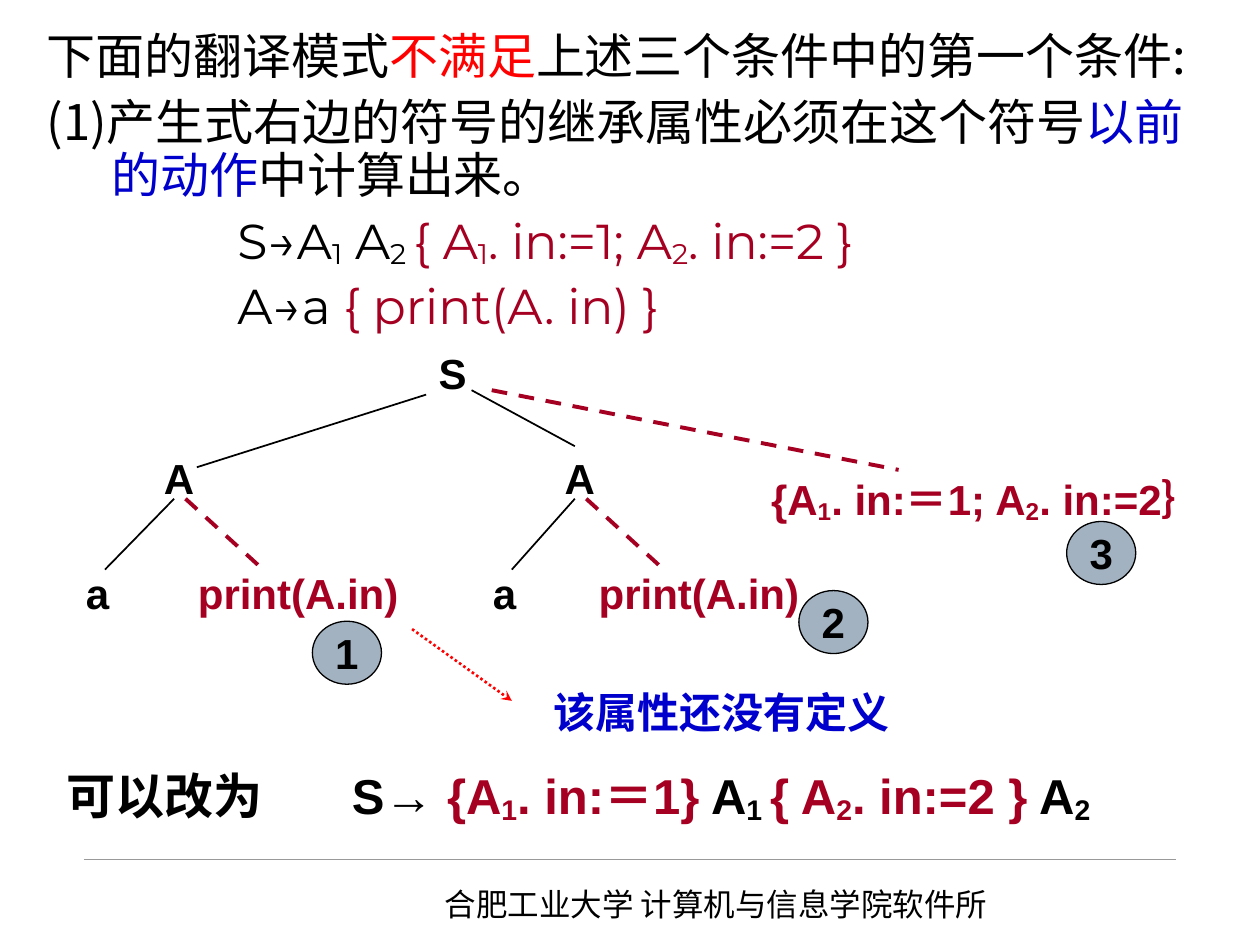
from lxml import etree
from pptx import Presentation
from pptx.dml.color import RGBColor
from pptx.enum.dml import MSO_LINE
from pptx.enum.shapes import MSO_CONNECTOR, MSO_SHAPE
from pptx.enum.text import MSO_ANCHOR, MSO_AUTO_SIZE, PP_ALIGN
from pptx.oxml.ns import qn
from pptx.util import Pt

DASH, DOT = MSO_LINE.DASH, MSO_LINE.ROUND_DOT
STRAIGHT, OVAL = MSO_CONNECTOR.STRAIGHT, MSO_SHAPE.OVAL
TOP, MIDDLE, CENTER = MSO_ANCHOR.TOP, MSO_ANCHOR.MIDDLE, PP_ALIGN.CENTER
NO_FIT = MSO_AUTO_SIZE.NONE


class Theme:
    black = RGBColor.from_string("000000")
    white = RGBColor.from_string("FFFFFF")
    red = RGBColor.from_string("FF0000")
    crimson = RGBColor.from_string("A50021")
    blue = RGBColor.from_string("0000CC")
    badge = RGBColor.from_string("A3B2C1")
    rule = RGBColor.from_string("999999")
    latin, grammar, chinese = "Arial", "Montserrat", "Noto Sans CJK SC"
    large, medium, small = Pt(28), Pt(24), Pt(18)


def write(para, spans, size=Theme.medium, font=Theme.latin, bold=True):
    """Add (text, colour) spans; a part between underscores is a subscript."""
    for text, color in spans:
        for index, part in enumerate(text.split("_")):
            if not part:
                continue
            span = para.add_run()
            span.text = part
            span.font.size, span.font.bold = size, bold
            span.font.color.rgb = color
            span.font.name = font
            properties = span._r.get_or_add_rPr()
            etree.SubElement(properties, qn("a:ea"), typeface=Theme.chinese)
            if index % 2:
                properties.set("baseline", "-11000")


def add_label(left, top, width, height, spans, tab=None, **style):
    box = page.shapes.add_textbox(Pt(left), Pt(top), Pt(width), Pt(height))
    box.text_frame.word_wrap = True
    para = box.text_frame.paragraphs[0]
    if tab:
        stops = etree.SubElement(para._p.get_or_add_pPr(), qn("a:tabLst"))
        etree.SubElement(stops, qn("a:tab"), pos=str(Pt(tab)), algn="l")
    write(para, spans, **style)


deck = Presentation()
deck.slide_width, deck.slide_height = Pt(720), Pt(540)
page = deck.slides.add_slide(deck.slide_layouts[1])
title = page.shapes.title
title.element.getparent().remove(title.element)

# Condition and translation scheme: indent, first-line offset, font, spans
body = page.placeholders[1]
body.left, body.top, body.width, body.height = Pt(19.5), Pt(15), Pt(686), Pt(181.5)
body.fill.solid()
body.fill.fore_color.rgb = Theme.white
frame = body.text_frame
frame.auto_size, frame.vertical_anchor = NO_FIT, TOP
statements = [
    (37, -37, Theme.chinese, [("下面的翻译模式", Theme.black), ("不满足", Theme.red),
                              ("上述三个条件中的第一个条件:", Theme.black)]),
    (37, -37, Theme.chinese, [("(1)产生式右边的符号的继承属性必须在这个符号", Theme.black),
                              ("以前的动作", Theme.blue), ("中计算出来。", Theme.black)]),
    (109, 0, Theme.grammar, [("S→A_1_ A_2 _", Theme.black),
                             ("{ A_1_. in:=1; A_2_. in:=2 }", Theme.crimson)]),
    (109, 0, Theme.grammar, [("A→a ", Theme.black),
                             ("{ print(A. in) }", Theme.crimson)]),
]
for number, (indent, offset, font, spans) in enumerate(statements):
    para = frame.add_paragraph() if number else frame.paragraphs[0]
    properties = para._p.get_or_add_pPr()
    properties.set("marL", str(Pt(indent)))
    properties.set("indent", str(Pt(offset)))
    etree.SubElement(properties, qn("a:buNone"))
    para.line_spacing = 0.9
    para.space_before = Pt(7 if number else 0)
    write(para, spans, Theme.large, font, bold=False)

# Lines: x1, y1, x2, y2, colour, width, dash
lines = [
    (48, 491, 672, 491, Theme.rule, 0.25, None),
    (243.5, 225.5, 112.5, 267, Theme.black, 1, None),
    (269.5, 223, 328.5, 255, Theme.black, 1, None),
    (281, 223, 513.5, 268.5, Theme.crimson, 2.25, DASH),
    (235.5, 359.5, 292.5, 400.5, Theme.red, 1.5, DOT),
]

# Parse tree: the root, then two subtrees with the same parts
add_label(243.5, 195, 40, 36, [("S", Theme.black)])
for left, leaf in ((86.5, 42), (315.5, 274.5)):
    add_label(left, 255, 46, 36, [("A", Theme.black)])
    add_label(leaf, 321, 46, 36, [("a", Theme.black)])
    add_label(left + 19.5, 321, 131, 36, [("print(A.in)", Theme.crimson)])
    lines += [
        (left + 13, 285, leaf + 18, 325.5, Theme.black, 1, None),
        (left + 19.5, 285, left + 65.5, 327, Theme.crimson, 2.25, DASH),
    ]
add_label(433.5, 267, 286.5, 36.5,
          [("{A_1_. in:＝1; A_2_. in:=2｝", Theme.crimson)])

for x1, y1, x2, y2, color, width, dash in lines:
    line = page.shapes.add_connector(STRAIGHT, Pt(x1), Pt(y1), Pt(x2), Pt(y2))
    line.line.color.rgb, line.line.width = color, Pt(width)
    if dash:
        line.line.dash_style = dash
    if dash == DOT:
        etree.SubElement(line.line._get_or_add_ln(), qn("a:tailEnd"), type="stealth")
    etree.SubElement(line._element.spPr, qn("a:effectLst"))

# Evaluation order
for number, left, top in (("1", 178.5, 355), ("2", 456.5, 337.5), ("3", 609.5, 298)):
    badge = page.shapes.add_shape(OVAL, Pt(left), Pt(top), Pt(39.5), Pt(36))
    badge.shadow.inherit = False
    badge.fill.solid()
    badge.fill.fore_color.rgb = Theme.badge
    badge.line.color.rgb, badge.line.width = Theme.black, Pt(0.75)
    badge.text_frame.word_wrap = False
    badge.text_frame.vertical_anchor = MIDDLE
    para = badge.text_frame.paragraphs[0]
    para.alignment = CENTER
    write(para, [(number, Theme.black)])

# Remark, corrected scheme and footer
add_label(309, 389, 312, 36, [("该属性还没有定义", Theme.blue)])
add_label(31, 434, 658, 42, [
    ("可以改为\tS→ ", Theme.black), ("{A_1_. in:＝1}", Theme.crimson),
    (" A_1 _", Theme.black), ("{ A_2_. in:=2 }", Theme.crimson),
    (" A_2_", Theme.black)], tab=163, size=Theme.large)
add_label(247, 502, 374.5, 29, [("合肥工业大学 计算机与信息学院软件所", Theme.black)],
          size=Theme.small, font=Theme.chinese, bold=False)

deck.save("out.pptx")
